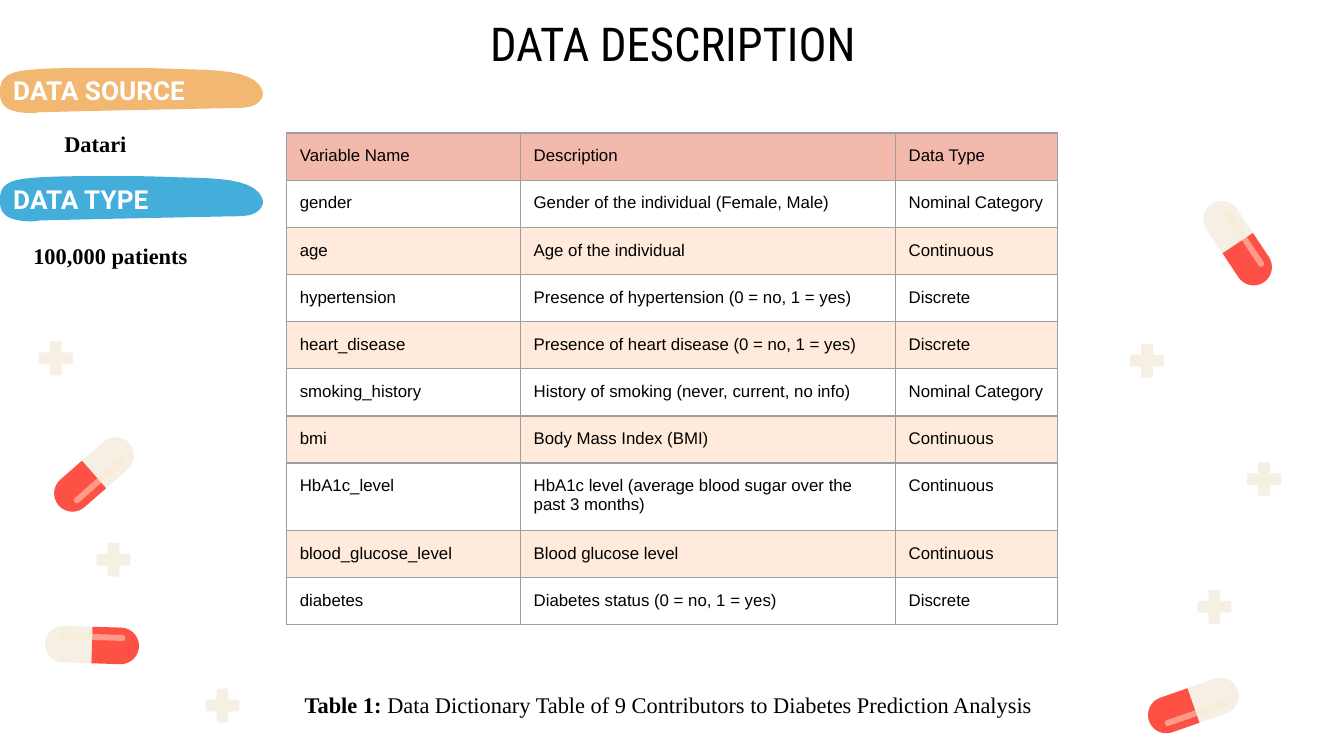
from dataclasses import dataclass
from math import cos, pi, radians, sin

from lxml.etree import SubElement
from pptx import Presentation
from pptx.dml.color import RGBColor as RGB
from pptx.enum.text import MSO_ANCHOR as ANCHOR, PP_ALIGN as ALIGN
from pptx.oxml import parse_xml
from pptx.oxml.ns import nsdecls, qn
from pptx.util import Pt


@dataclass(frozen=True)
class Theme:
    black: RGB = RGB.from_string("000000")
    white: RGB = RGB.from_string("FFFFFF")
    orange: RGB = RGB.from_string("F2B872")
    blue: RGB = RGB.from_string("43AED9")
    header: RGB = RGB.from_string("F2B9AC")
    band: RGB = RGB.from_string("FFEADB")
    cream: RGB = RGB.from_string("F6EFE4")
    red: RGB = RGB.from_string("FE5145")
    shine: RGB = RGB.from_string("FAE9CD")
    border: str = "9E9E9E"
    title: float = 25
    banner: float = 14
    body: float = 12
    cell: float = 9


T = Theme()
INSET = 7.2


def outline(shapes, points, color):
    """Draw a closed, filled polygon through points given in points."""
    pts = [(Pt(x), Pt(y)) for x, y in points]
    fb = shapes.build_freeform(*pts[0], scale=1.0)
    fb.add_line_segments(pts[1:], close=True)
    sp = fb.convert_to_shape()
    sp.shadow.inherit = False
    sp.fill.solid()
    sp.fill.fore_color.rgb = color
    sp.line.fill.background()
    return sp


def write(tf, runs, size, font, color, align=ALIGN.LEFT):
    """Fill a text frame with one paragraph of (text, bold) runs."""
    tf.word_wrap = True
    tf.margin_left = tf.margin_right = tf.margin_top = tf.margin_bottom = Pt(INSET)
    p = tf.paragraphs[0]
    p.alignment = align
    for text, bold in runs:
        r = p.add_run()
        r.text = text
        r.font.size, r.font.name, r.font.bold = Pt(size), font, bold
        r.font.color.rgb = color
    return p


prs = Presentation()
prs.slide_width, prs.slide_height = Pt(720), Pt(405)
s = prs.slides.add_slide(prs.slide_layouts[6])

# Title
tf = s.shapes.add_textbox(Pt(56.2), Pt(7.2), Pt(608.4), Pt(31.7)).text_frame
tf.vertical_anchor = ANCHOR.MIDDLE
write(tf, [("DATA DESCRIPTION", False)], T.title, "Roboto Condensed", T.black, ALIGN.CENTER)

# Brush-stroke banners: cubic curves, each as two controls and an end
STROKE_START = (61.2, 0)
STROKE = [
    ((47.5, 0), (33.8, 0), (20.9, 0.7)),
    ((15.1, 1.2), (8.6, 1.6), (5, 3.6)),
    ((0, 6.2), (0, 10.1), (0, 13.5)),
    ((0, 16.6), (0.7, 20.2), (5, 22.3)),
    ((8.6, 23.8), (13, 24.3), (17.3, 24.3)),
    ((18.7, 24.3), (20.2, 24), (21.4, 23.8)),
    ((55.4, 23), (89.3, 22.3), (123.8, 21.6)),
    ((127.4, 21.6), (130.7, 21.5), (133.9, 20.9)),
    ((139, 19.4), (141.8, 15.8), (140.6, 12.2)),
    ((136.8, 0.7), (113, 1.2), (95.8, 0.7)),
    ((84.2, 0.2), (72.7, 0), (61.2, 0)),
]
STEPS = 10
stroke = [STROKE_START]
for a, b, end in STROKE:
    start = stroke[-1]
    for i in range(1, STEPS + 1):
        t = i / STEPS
        u = 1 - t
        stroke.append(tuple(
            u**3 * start[k] + 3 * u * u * t * a[k] + 3 * u * t * t * b[k] + t**3 * end[k]
            for k in (0, 1)))

for label, top, color in (("DATA SOURCE", 36.3, T.orange), ("DATA TYPE", 94.3, T.blue)):
    sp = outline(s.shapes, [(x, y + top) for x, y in stroke], color)
    sp.text_frame.vertical_anchor = ANCHOR.MIDDLE
    write(sp.text_frame, [(label, True)], T.banner, "Roboto", T.white)

# Serif notes and the table caption
for left, top, width, runs in (
    (27.4, 55.4, 97.9, [("Datari", True)]),
    (10.8, 115.2, 97.9, [("100,000 patients", True)]),
    (156.2, 355.7, 485.3, [
        ("Table 1: ", True),
        ("Data Dictionary Table of 9 Contributors to Diabetes Prediction Analysis", False)]),
):
    tf = s.shapes.add_textbox(Pt(left), Pt(top), Pt(width), Pt(28.8)).text_frame
    p = write(tf, runs, T.body, "Times New Roman", T.black, ALIGN.JUSTIFY)
    p.line_spacing, p.space_after = 1.5, Pt(8)

# Data dictionary
ROWS = [
    ("Variable Name", "Description", "Data Type"),
    ("gender", "Gender of the individual (Female, Male)", "Nominal Category"),
    ("age", "Age of the individual", "Continuous"),
    ("hypertension", "Presence of hypertension (0 = no, 1 = yes)", "Discrete"),
    ("heart_disease", "Presence of heart disease (0 = no, 1 = yes)", "Discrete"),
    ("smoking_history", "History of smoking (never, current, no info)", "Nominal Category"),
    ("bmi", "Body Mass Index (BMI)", "Continuous"),
    ("HbA1c_level", "HbA1c level (average blood sugar over the past 3 months)", "Continuous"),
    ("blood_glucose_level", "Blood glucose level", "Continuous"),
    ("diabetes", "Diabetes status (0 = no, 1 = yes)", "Discrete"),
]
COLS = (125.3, 200.9, 87.1)
ROW_H, TALL_ROW, TALL_H = 25.2, 7, 36
table = s.shapes.add_table(len(ROWS), len(COLS), Pt(153.4), Pt(71.3),
                           Pt(sum(COLS)), Pt(ROW_H * 9 + TALL_H)).table
table.first_row = table.horz_banding = False
for col, width in zip(table.columns, COLS):
    col.width = Pt(width)
for i, row in enumerate(ROWS):
    table.rows[i].height = Pt(TALL_H if i == TALL_ROW else ROW_H)
    for j, text in enumerate(row):
        cell = table.cell(i, j)
        write(cell.text_frame, [(text, False)], T.cell, "Arial", T.black)
        cell.margin_left = cell.margin_right = Pt(INSET)
        cell.margin_top = cell.margin_bottom = Pt(INSET)
        if i % 2:
            cell.fill.background()
        else:
            cell.fill.solid()
            cell.fill.fore_color.rgb = T.band if i else T.header
        tc_pr = cell._tc.get_or_add_tcPr()
        for k, side in enumerate("LRTB"):
            tc_pr.insert(k, parse_xml(
                f'<a:ln{side} {nsdecls("a")} w="{Pt(0.75)}"><a:solidFill>'
                f'<a:srgbClr val="{T.border}"/></a:solidFill></a:ln{side}>'))

# Plus signs: one arm with clipped corners, turned four times
HALF, ARM, CLIP = 9.1, 3.1, 0.7
arm = [(ARM, -ARM), (HALF - CLIP, -ARM), (HALF, CLIP - ARM),
       (HALF, ARM - CLIP), (HALF - CLIP, ARM)]
plus = []
for _ in range(4):
    plus += arm
    arm = [(-y, x) for x, y in arm]
for cx, cy in ((614.5, 193.3), (60.8, 299.9), (650.6, 325.1),
               (677.2, 256.7), (119.2, 378), (29.9, 191.9)):
    outline(s.shapes, [(cx + x, cy + y) for x, y in plus], T.cream)

# Capsules: body, red half and shine, laid along the x axis and then turned
LENGTH, WIDTH = 50.4, 19.6
SHINE_LENGTH, SHINE_WIDTH, SHINE_Y = 35.3, 3.2, -4.3
ARC = [-pi / 2 + pi * i / 16 for i in range(17)]
parts = []
for length, width, dy, color, half in (
    (LENGTH, WIDTH, 0, T.cream, False),
    (LENGTH, WIDTH, 0, T.red, True),
    (SHINE_LENGTH, SHINE_WIDTH, SHINE_Y, T.shine, False),
):
    rad = width / 2
    right = [(length / 2 - rad + rad * cos(a), rad * sin(a)) for a in ARC]
    left = [(0, rad), (0, -rad)] if half else [(-x, -y) for x, y in right]
    parts.append(([(x, y + dy) for x, y in right + left], color))

for cx, cy, angle in ((50.4, 254.2, 138.8), (639.4, 378, 160.8),
                      (663.1, 130.3, 56.4), (49.3, 345.6, 1.8)):
    c, d = cos(radians(angle)), sin(radians(angle))
    capsule = s.shapes.add_group_shape()
    for pts, color in parts:
        sp = outline(capsule.shapes,
                     [(cx + x * c - y * d, cy + x * d + y * c) for x, y in pts], color)
    shine_color = sp.fill._xPr.find(qn("a:solidFill"))[0]
    SubElement(shine_color, qn("a:alpha")).set("val", "49000")

prs.save("out.pptx")
